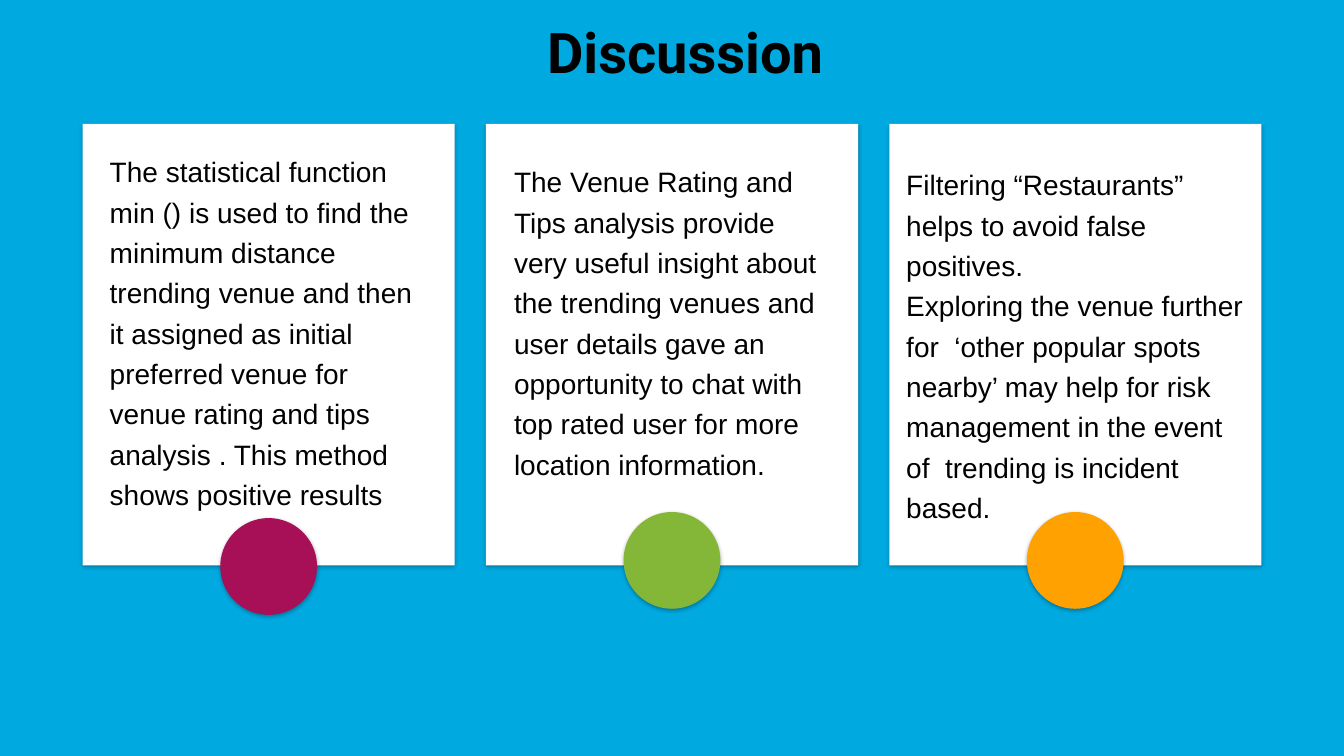
from lxml.etree import SubElement
from pptx import Presentation
from pptx.dml.color import RGBColor
from pptx.enum.shapes import MSO_SHAPE as Preset
from pptx.enum.text import MSO_ANCHOR as Anchor, PP_ALIGN as Align
from pptx.oxml.ns import qn
from pptx.util import Inches, Pt

COLORS = {
    "background": "00A9E0",
    "card": "FFFFFF",
    "text": "000000",
    "shadow": "000000",
    "magenta": "A71056",
    "green": "84B638",
    "orange": "FFA100",
}

CARD_LEFT, CARD_TOP, CARD_WIDTH, CARD_HEIGHT = 0.82, 1.23, 3.69, 4.38
CARD_PITCH = 4.0
DOT_SIZE = 0.96

FINDINGS = [
    {
        "dot": ("magenta", 5.14),
        "box": (0.99, 1.42, 3.36, 3.74),
        "paragraphs": [
            "The statistical function min () is used to find the minimum distance "
            "trending venue and then it assigned as initial preferred venue for "
            "venue rating and tips analysis . This method shows positive results",
        ],
    },
    {
        "dot": ("green", 5.08),
        "box": (5.0, 1.52, 3.36, 3.33),
        "paragraphs": [
            "The Venue Rating and Tips analysis provide very useful insight about "
            "the trending venues and user details gave an opportunity to chat with "
            "top rated user for more location information.",
        ],
    },
    {
        "dot": ("orange", 5.08),
        "box": (8.89, 1.55, 3.57, 3.74),
        "paragraphs": [
            "Filtering “Restaurants” helps to avoid false positives.",
            "Exploring the venue further for  ‘other popular spots nearby’ may help "
            "for risk management in the event of  trending is incident based.",
        ],
    },
]


def rgb(name):
    """Return the named colour."""
    return RGBColor.from_string(COLORS[name])


def add_soft_shadow(shape):
    """Give a shape a faint shadow that falls straight down."""
    shape.shadow.inherit = False
    effects = shape._element.spPr.find(qn("a:effectLst"))
    shadow = SubElement(effects, qn("a:outerShdw"), blurRad=str(Pt(3)),
                        dist=str(Pt(1)), dir="5400000", rotWithShape="0")
    tint = SubElement(shadow, qn("a:srgbClr"), val=COLORS["shadow"])
    SubElement(tint, qn("a:alpha"), val="30000")


def add_raised_shape(slide, preset, box, color):
    """Draw a filled shape without outline and with a soft shadow."""
    shape = slide.shapes.add_shape(preset, *map(Inches, box))
    shape.fill.solid()
    shape.fill.fore_color.rgb = rgb(color)
    shape.line.fill.background()
    add_soft_shadow(shape)


def add_text(slide, box, paragraphs, font, size, bold=False,
             align=Align.LEFT, spacing=1.0):
    """Write paragraphs in a wrapping text box."""
    frame = slide.shapes.add_textbox(*map(Inches, box)).text_frame
    frame.word_wrap = True
    frame.vertical_anchor = Anchor.TOP
    for index, wording in enumerate(paragraphs):
        paragraph = frame.add_paragraph() if index else frame.paragraphs[0]
        paragraph.alignment = align
        paragraph.line_spacing = spacing
        run = paragraph.add_run()
        run.text = wording
        run.font.name = font
        run.font.size = Pt(size)
        run.font.bold = bold
        run.font.color.rgb = rgb("text")


def main():
    """Build the discussion slide and save it."""
    deck = Presentation()
    deck.slide_width, deck.slide_height = Inches(13.33), Inches(7.5)
    slide = deck.slides.add_slide(deck.slide_layouts[6])
    slide.background.fill.solid()
    slide.background.fill.fore_color.rgb = rgb("background")

    add_text(slide, (1.96, 0.12, 9.67, 0.77), ["Discussion"], "Roboto", 40,
             bold=True, align=Align.CENTER)
    for column, finding in enumerate(FINDINGS):
        card_left = CARD_LEFT + column * CARD_PITCH
        add_raised_shape(slide, Preset.RECTANGLE,
                         (card_left, CARD_TOP, CARD_WIDTH, CARD_HEIGHT), "card")
        dot_color, dot_top = finding["dot"]
        dot_left = card_left + (CARD_WIDTH - DOT_SIZE) / 2
        add_raised_shape(slide, Preset.OVAL,
                         (dot_left, dot_top, DOT_SIZE, DOT_SIZE), dot_color)
        add_text(slide, finding["box"], finding["paragraphs"], "Arial", 20,
                 spacing=1.2)

    deck.save("out.pptx")


if __name__ == "__main__":
    main()
